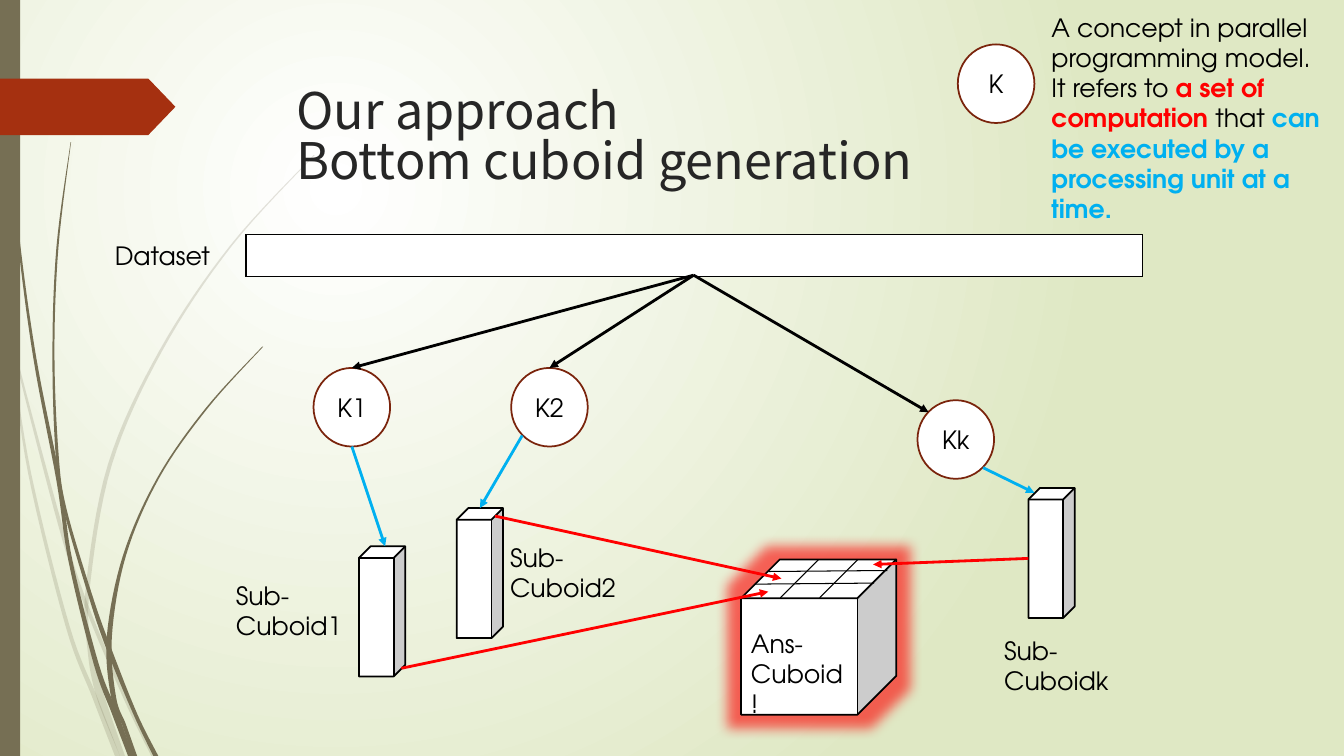
import lxml.etree
import pptx
import pptx.dml.color
import pptx.enum.shapes
import pptx.enum.text
import pptx.oxml
import pptx.oxml.ns
import pptx.util

WIDTH, HEIGHT = 13.33, 7.5
COLUMNS, ROWS = 133.3, 75
BLACK, WHITE, RED, BLUE, OLIVE, RUST = "000000", "FFFFFF", "FF0000", "00B0F0", "766F54", "A53010"
SHAPES = pptx.enum.shapes.MSO_SHAPE
ALIGN = pptx.enum.text.PP_ALIGN
ANCHOR = pptx.enum.text.MSO_ANCHOR
qn = pptx.oxml.ns.qn


def color(value):
    """Turn a hex string into a colour."""
    return pptx.dml.color.RGBColor.from_string(value)


def apply(target, values):
    """Set each attribute of the target from a dict."""
    for name, value in values.items():
        setattr(target, name, value)


def add_node(parent, tag, **attributes):
    """Append an XML element to its parent."""
    return lxml.etree.SubElement(parent, qn(tag), attributes)


def smooth(points, steps=8):
    """Interpolate points with a Catmull-Rom curve."""
    padded = [points[0], *points, points[-1]]
    curve = []
    for a, b, c, d in zip(padded, padded[1:], padded[2:], padded[3:]):
        for step in range(steps):
            t = step / steps
            curve.append(tuple(
                q + t * (r - p) / 2 + t * t * (2 * p - 5 * q + 4 * r - s) / 2
                + t ** 3 * (3 * q - p - 3 * r + s) / 2
                for p, q, r, s in zip(a, b, c, d)))
    return curve + [points[-1]]


class Painter:
    """Draws styled elements on the current slide, placed by columns and rows."""

    body = {"name": "TeX Gyre Adventor", "size": pptx.util.Pt(18), "bold": False}
    heading = {"name": "Noto Sans CJK SC", "size": pptx.util.Pt(36), "bold": False}

    def __init__(self, deck):
        self.deck = deck
        self.page = deck.slides.add_slide(deck.slide_layouts[6])

    def place(self, *lengths):
        """Convert alternating columns and rows to slide lengths."""
        units = (self.deck.slide_width / COLUMNS, self.deck.slide_height / ROWS)
        return [round(length * units[i % 2]) for i, length in enumerate(lengths)]

    def background(self, inner, outer):
        """Fill the page with a radial gradient."""
        fill = self.page.background.fill
        fill.gradient()
        for stop, value in zip(fill.gradient_stops, (inner, outer)):
            stop.color.rgb = color(value)
        gradient = self.page.element.find(".//" + qn("a:gradFill"))
        gradient.remove(gradient.find(qn("a:lin")))
        circle = add_node(gradient, "a:path", path="circle")
        add_node(circle, "a:fillToRect", l="50000", t="50000", r="100000", b="100000")

    def paint(self, shape, fill, line=None, weight=1.25):
        """Give a shape its fill and outline."""
        shape.shadow.inherit = False
        shape.fill.solid()
        shape.fill.fore_color.rgb = color(fill)
        if line:
            shape.line.color.rgb = color(line)
            shape.line.width = pptx.util.Pt(weight)
        else:
            shape.line.fill.background()
        return shape

    def shape(self, kind, place, fill, line=None):
        """Add a preset shape."""
        return self.paint(self.page.shapes.add_shape(kind, *self.place(*place)), fill, line)

    def blade(self, points, opacity):
        """Add a blade of grass from its left edge and widths."""
        curve = smooth(points)
        outline = [self.place(x, y) for x, y, width in curve]
        outline += [self.place(x + width, y) for x, y, width in reversed(curve)]
        builder = self.page.shapes.build_freeform(*outline[0])
        builder.add_line_segments(outline[1:], close=True)
        blade = self.paint(builder.convert_to_shape(), OLIVE)
        if opacity < 100:
            tint = blade.element.spPr.find(qn("a:solidFill"))[0]
            add_node(tint, "a:alpha", val=str(opacity * 1000))

    def glow(self, shape, value, radius, opacity):
        """Add a soft glow around a shape."""
        effects = shape.element.spPr.find(qn("a:effectLst"))
        glow = add_node(effects, "a:glow", rad=str(pptx.util.Pt(radius)))
        add_node(add_node(glow, "a:srgbClr", val=value), "a:alpha", val=str(opacity * 1000))

    def text(self, place, paragraphs, style=None, anchor=ANCHOR.TOP, **layout):
        """Add a text box from paragraphs of (text, colour) spans."""
        frame = self.page.shapes.add_textbox(*self.place(*place)).text_frame
        apply(frame, {"word_wrap": True, "vertical_anchor": anchor})
        for index, spans in enumerate(paragraphs):
            para = frame.add_paragraph() if index else frame.paragraphs[0]
            apply(para, layout)
            for words, value in spans:
                if "\v" in words:
                    first, words = words.split("\v")
                    self.span(para, first, value, style)
                    para.add_line_break()
                self.span(para, words, value, style)

    def span(self, para, words, value, style):
        """Add one run of text."""
        span = para.add_run()
        span.text = words
        apply(span.font, style or self.body)
        span.font.color.rgb = color(value)
        if value in (RED, BLUE):
            span.font.bold = True

    def line(self, start, end, value, weight=2, arrow=True):
        """Add a straight line or arrow."""
        straight = pptx.enum.shapes.MSO_CONNECTOR.STRAIGHT
        line = self.page.shapes.add_connector(straight, *self.place(*start, *end))
        line.line.color.rgb = color(value)
        line.line.width = pptx.util.Pt(weight)
        properties = line.element.spPr
        if arrow:
            add_node(properties.find(qn("a:ln")), "a:tailEnd", type="triangle")
        add_node(properties, "a:effectLst")

    def bar(self, place):
        """Add a one-cell table with a black border."""
        table = self.page.shapes.add_table(1, 1, *self.place(*place)).table
        apply(table, {"first_row": False, "horz_banding": False})
        cell = table.cell(0, 0)
        properties = cell._tc.get_or_add_tcPr()
        for side in "LRTB":
            edge = add_node(properties, "a:ln" + side, w=str(pptx.util.Pt(1)))
            add_node(add_node(edge, "a:solidFill"), "a:srgbClr", val=BLACK)
        cell.fill.solid()
        cell.fill.fore_color.rgb = color(WHITE)

    def kernel(self, left, top, name):
        """Add a labelled kernel circle."""
        self.shape(SHAPES.OVAL, (left, top, 7.6, 7.8), WHITE, "7A240C")
        self.text((left + 1, top + 1.9, 5.6, 4), [[(name, BLACK)]], alignment=ALIGN.CENTER)


deck = pptx.Presentation()
deck.slide_width = pptx.util.Inches(WIDTH)
deck.slide_height = pptx.util.Inches(HEIGHT)
painter = Painter(deck)
painter.background(WHITE, "DFE8C4")

pale_blades = [
    [(0, 28.2, 0.1), (1.5, 35.5, 0.2), (5.8, 52.2, 0.4), (8.3, 59.9, 0.4), (12.3, 69.4, 0.4), (15, 75, 0.5)],
    [(1.1, 35, 0.1), (2.8, 47, 0.3), (6.5, 62.1, 0.4), (9.2, 69.3, 0.5), (11.4, 75, 0.5)],
    [(31.1, 15.4, 0.1), (22.8, 24.4, 0.2), (15.8, 34.8, 0.3), (10.7, 46.1, 0.4),
     (8.5, 58.4, 0.4), (8.7, 64.6, 0.4), (9.6, 69.2, 0.8), (11.9, 75, 0.5)],
]
dark_blades = [
    [(0.3, 0, 0.1), (0.7, 11, 0.1), (1.7, 23.3, 0.2), (3.3, 35.5, 0.3), (5.6, 47.7, 0.4),
     (6.8, 55.7, 0.4), (9.3, 65.9, 0.5), (11.1, 70.8, 0.6), (12.7, 75, 0.5)],
    [(7, 14.1, 0.05), (5.6, 24.5, 0.2), (5.2, 34.9, 0.2), (5.5, 44.9, 0.3), (6.3, 50.5, 0.3),
     (8.8, 59.2, 0.4), (10.6, 64.5, 0.5), (13.2, 70.8, 0.4), (15.2, 75, 0.5)],
    [(26, 34.4, 0.1), (20.4, 40.5, 0.2), (15.6, 47.4, 0.2), (12.2, 55.1, 0.3),
     (10.6, 63.1, 0.5), (11, 69.1, 0.5), (12.1, 71.9, 0.4), (13.1, 75, 0.5)],
]
for blades, opacity in ((pale_blades, 20), (dark_blades, 100)):
    for points in blades:
        painter.blade(points, opacity)
painter.shape(SHAPES.RECTANGLE, (0, 0, 2, ROWS), OLIVE)
painter.shape(SHAPES.PENTAGON, (0, 7.8, 17.4, 5.6), RUST).adjustments[0] = 0.48

painter.text((28.4, 6.8, 97.5, 14), [[("Our approach\vBottom cuboid generation", "262626")]],
             painter.heading, ANCHOR.MIDDLE, line_spacing=0.83)
painter.bar((24.4, 23.3, 88.9, 4.1))
painter.text((10.4, 23.3, 11.7, 4.1), [[("Dataset", BLACK)]])

for left, top, name in ((31.1, 36.5, "K1"), (50.7, 36.5, "K2"), (91, 39.7, "Kk"), (95, 4.4, "K")):
    painter.kernel(left, top, name)
for left, top in ((35.6, 54.2), (45.3, 50.4), (102, 48.4)):
    painter.shape(SHAPES.CUBE, (left, top, 4.6, 12.9), WHITE, BLACK)
for left, top, name in ((22.4, 57.1, "1"), (49.6, 53.3, "2"), (98.6, 62.5, "k")):
    painter.text((left, top, 15.8, 7.1), [[("Sub-Cuboid" + name, BLACK)]])

answer = painter.shape(SHAPES.CUBE, (73.5, 55.5, 15.4, 15.4), WHITE, BLACK)
painter.glow(answer, RED, 18, 60)
painter.text((73.5, 61.8, 11.4, 7.1), [[("Ans-Cuboid!", BLACK)]])
for third in (1, 2):
    painter.line((73.5 + 3.9 * third, 59.3), (77.3 + 3.9 * third, 55.5), BLACK, 0.75, False)
    painter.line((73.6 + 1.3 * third, 59.2 - 1.25 * third),
                 (85.4 + 1.3 * third, 59.1 - 1.25 * third), BLACK, 0.75, False)

arrows = {
    BLACK: [((68.8, 27.3), end) for end in ((34.9, 36.5), (54.5, 36.5), (92.1, 40.9))],
    BLUE: [((34.9, 44.3), (38.2, 54.2)), ((51.8, 43.2), (47.6, 50.4)), ((97.5, 46.4), (102.6, 48.9))],
    RED: [((39.8, 66.3), (76.2, 58.7)), ((49.1, 51.2), (77.5, 57.4)), ((102, 55.4), (86.6, 56))],
}
for value, ends in arrows.items():
    for start, end in ends:
        painter.line(start, end, value)

painter.text((103.3, 0.7, 29, 22.2), [
    [("A concept in parallel programming model.", BLACK)],
    [("It refers to ", BLACK), ("a set of computation ", RED), ("that ", BLACK),
     ("can be executed by a processing unit at a time.", BLUE)]])

deck.save("out.pptx")
